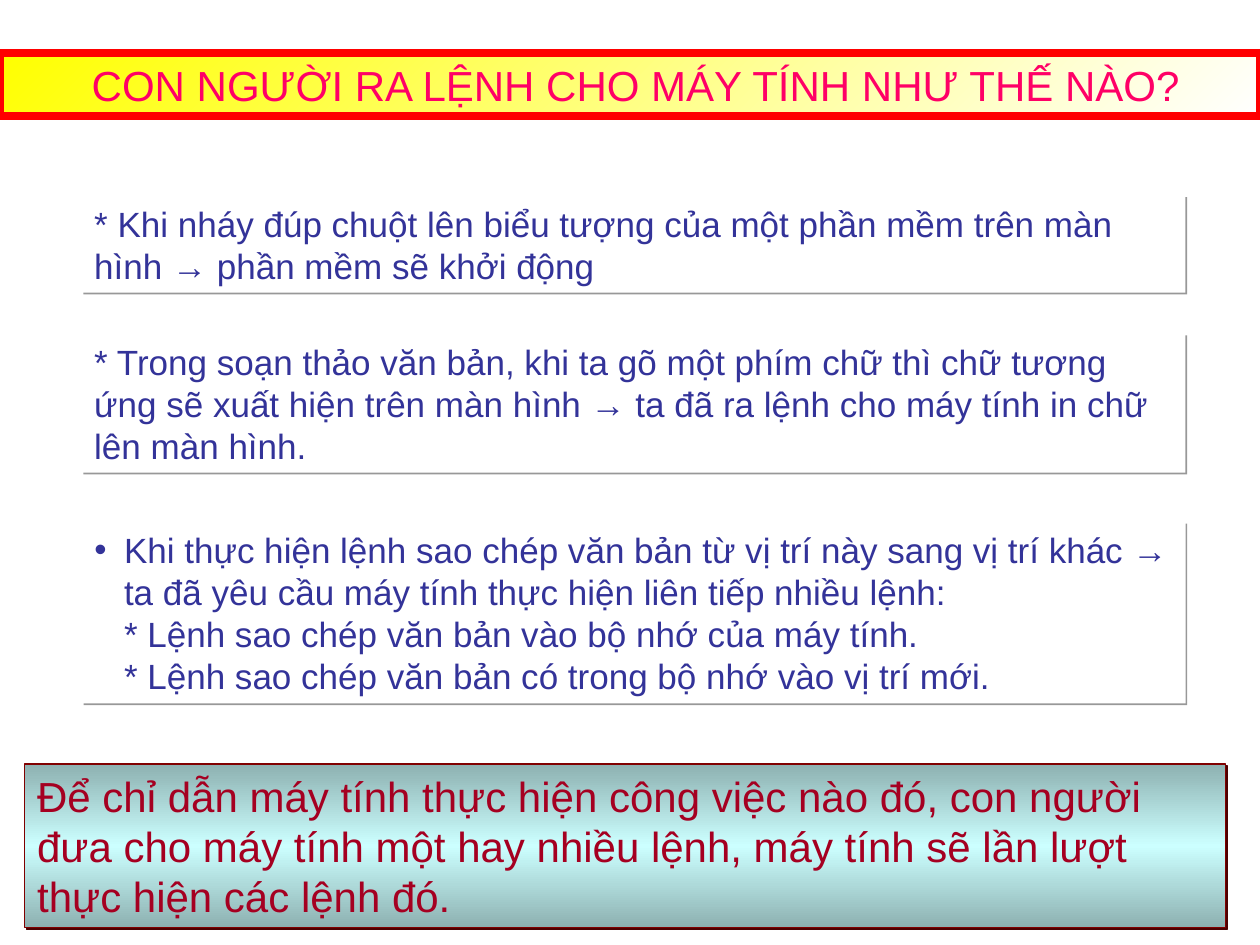
from lxml.etree import SubElement
from pptx import Presentation
from pptx.dml.color import RGBColor
from pptx.enum.shapes import MSO_SHAPE as Shape
from pptx.enum.text import MSO_ANCHOR as Anchor, MSO_AUTO_SIZE as AutoSize, PP_ALIGN as Align
from pptx.oxml.ns import qn
from pptx.util import Cm, Pt

INDENT = Cm(0.6)
EXAMPLE = {"size": Pt(20), "color": "333399"}
RULE = {"size": Pt(24), "color": "A50021"}
HEADING = {"size": Pt(24), "color": "FF0066"}


def rgb(value):
    """Turn a hex string into a colour."""
    return RGBColor.from_string(value)


def set_all(target, values):
    """Set every attribute named in a dict."""
    for name, value in values.items():
        setattr(target, name, value)


def place(box, left, top, width, height):
    """Move and size a shape, in centimetres."""
    set_all(box, {"left": Cm(left), "top": Cm(top), "width": Cm(width), "height": Cm(height)})


def add_element(parent, tag, **attributes):
    """Append a DrawingML element."""
    return SubElement(parent, qn(tag), attributes)


def fill_gradient(box, stops, angle):
    """Fill a shape with a linear gradient, the angle being clockwise."""
    box.fill.gradient()
    box.fill.gradient_angle = 360 - angle
    stop_list = box._element.spPr.find(qn("a:gradFill")).find(qn("a:gsLst"))
    stop_list.clear()
    for position, color in stops:
        stop = add_element(stop_list, "a:gs", pos=str(position * 1000))
        add_element(stop, "a:srgbClr", val=color)


def outline(box, color=None, width=0.75):
    """Draw a border, or remove it when no colour is given."""
    if color is None:
        box.line.fill.background()
    else:
        box.line.color.rgb = rgb(color)
        box.line.width = Pt(width)


def cast_shadow(box, color):
    """Give a shape a thin, hard shadow to the lower right."""
    box.shadow.inherit = False
    effects = box._element.spPr.find(qn("a:effectLst"))
    shadow = add_element(effects, "a:outerShdw", blurRad="0", dist="17780",
                         dir="2700000", algn="ctr", rotWithShape="0")
    add_element(shadow, "a:srgbClr", val=color)


def write(box, lines, style, align=Align.LEFT):
    """Write one paragraph per line and return the paragraphs."""
    frame = box.text_frame
    set_all(frame, {"word_wrap": True, "auto_size": AutoSize.NONE,
                    "vertical_anchor": Anchor.MIDDLE,
                    "margin_left": Cm(0.25), "margin_right": Cm(0.25),
                    "margin_top": Cm(0.13), "margin_bottom": Cm(0.13)})
    frame.text = "\n".join(lines)
    for para in frame.paragraphs:
        set_all(para, {"alignment": align, "space_before": Pt(0)})
        for span in para.runs:
            set_all(span.font, {"name": "Arial", "size": style["size"], "bold": False})
            span.font.color.rgb = rgb(style["color"])
    return frame.paragraphs


def indent_list(paras):
    """Bullet the first paragraph and align the others with its text."""
    for number, para in enumerate(paras):
        properties = para._p.get_or_add_pPr()
        properties.set("marL", str(INDENT))
        properties.set("indent", str(0 if number else -INDENT))
        if number:
            add_element(properties, "a:buNone")
        else:
            color = add_element(properties, "a:buClr")
            add_element(color, "a:srgbClr", val=EXAMPLE["color"])
            add_element(properties, "a:buFont", typeface="Arial")
            add_element(properties, "a:buChar", char="•")


def format_example(box, top, height, lines):
    """Format a white example panel and return its paragraphs."""
    place(box, 1.65, top, 22.25, height)
    box.fill.solid()
    box.fill.fore_color.rgb = rgb("FFFFFF")
    outline(box)
    cast_shadow(box, "989898")
    return write(box, lines, EXAMPLE)


def add_rectangle(page):
    """Add a rectangle to be placed later."""
    return page.shapes.add_shape(Shape.RECTANGLE, 0, 0, 0, 0)


def format_title(box):
    """Format the title band."""
    place(box, 0, 1.07, 25.4, 1.27)
    fill_gradient(box, [(0, "FFFF00"), (100, "FFFFFF")], 45)
    outline(box, "FF0000", 4.5)
    write(box, ["CON NGƯỜI RA LỆNH CHO MÁY TÍNH NHƯ THẾ NÀO?"], HEADING, Align.CENTER)
    box.text_frame.margin_left = Cm(0.48)


def add_conclusion(page):
    """Add the closing rule at the foot of the slide."""
    box = add_rectangle(page)
    place(box, 0.5, 15.4, 24.2, 3.3)
    fill_gradient(box, [(0, "8DB1B1"), (50, "CCFFFF"), (100, "8DB1B1")], 90)
    outline(box, "800000")
    cast_shadow(box, "4C0000")
    write(box, ["Để chỉ dẫn máy tính thực hiện công việc nào đó, con người đưa cho máy tính "
                "một hay nhiều lệnh, máy tính sẽ lần lượt thực hiện các lệnh đó."], RULE)


def main():
    """Build and save the slide."""
    deck = Presentation()
    set_all(deck, {"slide_width": Cm(25.4), "slide_height": Cm(19.05)})
    page = deck.slides.add_slide(deck.slide_layouts[1])
    format_title(page.shapes.title)
    format_example(add_rectangle(page), 3.94, 1.96, [
        "* Khi nháy đúp chuột lên biểu tượng của một phần mềm trên màn hình → "
        "phần mềm sẽ khởi động"])
    format_example(add_rectangle(page), 6.73, 2.8, [
        "* Trong soạn thảo văn bản, khi ta gõ một phím chữ thì chữ tương ứng sẽ xuất hiện "
        "trên màn hình → ta đã ra lệnh cho máy tính in chữ lên màn hình."])
    indent_list(format_example(page.placeholders[1], 10.52, 3.66, [
        "Khi thực hiện lệnh sao chép văn bản từ vị trí này sang vị trí khác → "
        "ta đã yêu cầu máy tính thực hiện liên tiếp nhiều lệnh:",
        "* Lệnh sao chép văn bản vào bộ nhớ của máy tính.",
        "* Lệnh sao chép văn bản có trong bộ nhớ vào vị trí mới."]))
    add_conclusion(page)
    deck.save("out.pptx")


if __name__ == "__main__":
    main()
